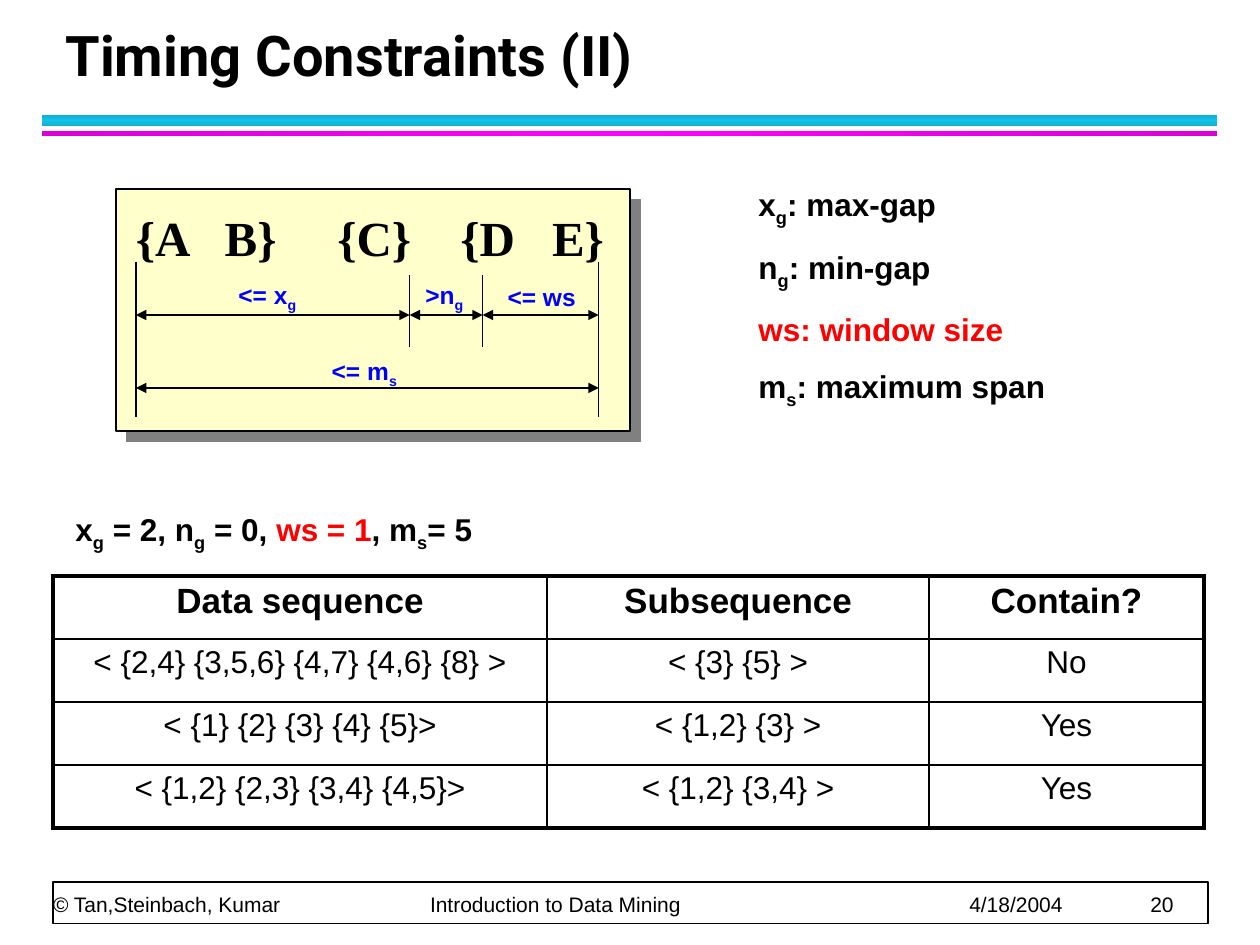
"""Build the slide on timing constraints for sequential patterns."""
from typing import NamedTuple

from pptx import Presentation
from pptx.dml.color import RGBColor as Rgb
from pptx.enum.shapes import MSO_CONNECTOR as Link, MSO_SHAPE as Form
from pptx.enum.text import MSO_ANCHOR as Anchor, PP_ALIGN as Align
from pptx.oxml import parse_xml
from pptx.oxml.ns import nsdecls
from pptx.util import Cm, Pt

HUES = {
    "black": "000000", "white": "FFFFFF", "red": "FF0000", "blue": "0000FF",
    "cream": "FFFFCC", "gray": "808080", "teal": "10B0D3", "cyan": "12C2E9",
    "plum": "DA00DA", "pink": "FF00FF",
}


class Box(NamedTuple):
    left: float
    top: float
    width: float
    height: float


class Bit(NamedTuple):
    text: str
    sub: bool = False
    hue: str | None = None


class Label(NamedTuple):
    box: Box
    bits: list[Bit]


class Bar(NamedTuple):
    box: Box
    edge: str
    core: str
    angle: int


class Line(NamedTuple):
    x1: float
    y1: float
    x2: float
    y2: float
    arrow: bool = False


def rgb(hue: str) -> Rgb:
    return Rgb.from_string(HUES[hue])


def node(xml: str):
    """Build an element of the drawing namespace."""
    cut = xml.index(">") - (xml[xml.index(">") - 1] == "/")
    return parse_xml(f"{xml[:cut]} {nsdecls('a')}{xml[cut:]}")


def solid(hue: str) -> str:
    return f'<a:solidFill><a:srgbClr val="{HUES[hue]}"/></a:solidFill>'


def sym(base: str, low: str, rest: str = "") -> list[Bit]:
    """Return a symbol with a subscript and the text after it."""
    tail = [Bit(rest)] if rest else []
    return [Bit(base), Bit(low, sub=True), *tail]


def write(frame, *paras, size=18, font="Arial", hue="black", bold=True,
          align=Align.LEFT, before=0, after=0, pitch=None, tabs=(),
          anchor=Anchor.TOP, pad=(0.25, 0.13)) -> None:
    """Fill a text frame with paragraphs given as strings or lists of bits."""
    frame.word_wrap = True
    frame.vertical_anchor = anchor
    frame.margin_left = frame.margin_right = Cm(pad[0])
    frame.margin_top = frame.margin_bottom = Cm(pad[1])
    for i, bits in enumerate(paras):
        para = frame.add_paragraph() if i else frame.paragraphs[0]
        if tabs:
            stops = "".join(f'<a:tab pos="{Cm(x)}" algn="l"/>' for x in tabs)
            para._p.get_or_add_pPr().append(node(f"<a:tabLst>{stops}</a:tabLst>"))
        para.alignment = align
        para.space_before = Pt(before if i else 0)
        para.space_after = Pt(after)
        if pitch:
            para.line_spacing = Pt(pitch)
        for bit in [Bit(bits)] if isinstance(bits, str) else bits:
            run = para.add_run()
            run.text = bit.text
            run.font.size, run.font.name, run.font.bold = Pt(size), font, bold
            run.font.color.rgb = rgb(bit.hue or hue)
            if bit.sub:
                run._r.get_or_add_rPr().set("baseline", "-25000")


def rect(slide, box: Box, fill: str | None = None, line: float = 0):
    """Add a plain rectangle, outlined in black if a line width is given."""
    shape = slide.shapes.add_shape(Form.RECTANGLE, *map(Cm, box))
    shape.shadow.inherit = False
    if fill:
        shape.fill.solid()
        shape.fill.fore_color.rgb = rgb(fill)
    if line:
        shape.line.color.rgb = rgb("black")
        shape.line.width = Pt(line)
    else:
        shape.line.fill.background()
    return shape


def text(slide, box: Box, *paras, **form) -> None:
    write(slide.shapes.add_textbox(*map(Cm, box)).text_frame, *paras, **form)


def shade(slide, bar: Bar) -> None:
    """Draw a bar whose colour runs from edge to core and back."""
    stops = "".join(
        f'<a:gs pos="{pos}"><a:srgbClr val="{HUES[hue]}"/></a:gs>'
        for pos, hue in ((0, bar.edge), (50000, bar.core), (100000, bar.edge)))
    rect(slide, bar.box)._element.spPr.insert(2, node(
        f"<a:gradFill><a:gsLst>{stops}</a:gsLst>"
        f'<a:lin ang="{bar.angle * 60000}" scaled="0"/></a:gradFill>'))


def rule(slide, line: Line) -> None:
    """Draw a thin line, with arrowheads at both ends if asked."""
    link = slide.shapes.add_connector(Link.STRAIGHT, *map(Cm, line[:4]))
    link.line.color.rgb = rgb("black")
    link.line.width = Pt(0.75)
    if line.arrow:
        for end in ("head", "tail"):
            link._element.spPr.ln.append(node(f'<a:{end}End type="triangle"/>'))
    link._element.spPr.append(node("<a:effectLst/>"))


def grid(slide, box: Box, cols: list[float], rows: list[list[str]]) -> None:
    """Draw a table with a heavy frame and thin inner borders."""
    high, wide = len(rows), len(cols)
    table = slide.shapes.add_table(high, wide, *map(Cm, box)).table
    table.first_row = table.horz_banding = False
    for col, width in zip(table.columns, cols):
        col.width = Cm(width)
    for r, row in enumerate(rows):
        table.rows[r].height = Cm(box.height / high)
        for c, words in enumerate(row):
            cell = table.cell(r, c)
            cell.fill.background()
            write(cell.text_frame, words, size=18 if r else 20, bold=not r,
                  align=Align.CENTER, after=4)
            outer = {"L": c == 0, "R": c == wide - 1, "T": r == 0, "B": r == high - 1}
            for i, (side, heavy) in enumerate(outer.items()):
                cell._tc.get_or_add_tcPr().insert(i, node(
                    f'<a:ln{side} w="{Pt(2.25 if heavy else 1)}">'
                    f"{solid('black')}</a:ln{side}>"))


BARS = [
    Bar(Box(0.84, 2.32, 23.7, 0.22), "teal", "cyan", 90),
    Bar(Box(0.84, 2.64, 23.7, 0.1), "plum", "pink", 0),
]
LABELS = [
    Label(Box(6.43, 7.04, 1.83, 0.84), sym("<= m", "s")),
    Label(Box(4.55, 5.51, 1.68, 0.84), sym("<= x", "g")),
    Label(Box(8.25, 5.51, 1.42, 0.84), sym(">n", "g")),
    Label(Box(9.98, 5.56, 1.88, 0.84), [Bit("<= ws")]),
]
MARKS = [2.74, 8.26, 9.73, 12.07]
LINES = [
    Line(MARKS[0], 7.82, MARKS[-1], 7.82, True),
    *(Line(a, 6.35, b, 6.35, True) for a, b in zip(MARKS, MARKS[1:])),
    *(Line(x, 5.28, x, 8.41) for x in (MARKS[0], MARKS[-1])),
    *(Line(x, 5.54, x, 6.99) for x in MARKS[1:-1]),
]
ROWS = [
    ["Data sequence", "Subsequence", "Contain?"],
    ["< {2,4} {3,5,6} {4,7} {4,6} {8} >", "< {3} {5} >", "No"],
    ["< {1} {2} {3} {4} {5}>", "< {1,2} {3} >", "Yes"],
    ["< {1,2} {2,3} {3,4} {4,5}>", "< {1,2} {3,4} >", "Yes"],
]


def main() -> None:
    deck = Presentation()
    deck.slide_width, deck.slide_height = Cm(25.4), Cm(19.05)
    slide = deck.slides.add_slide(deck.slide_layouts[6])
    for bar in BARS:
        shade(slide, bar)
    rect(slide, Box(1.07, 17.78, 23.29, 0.84), "white", 1)
    text(slide, Box(1.07, 17.78, 23.24, 0.71),
         "© Tan,Steinbach, Kumar\tIntroduction to Data Mining\t4/18/2004\t20",
         size=12, bold=False, pitch=20, tabs=(7.6, 18.47, 22.12),
         anchor=Anchor.BOTTOM, pad=(0, 0))
    text(slide, Box(1.07, 0.43, 23.01, 1.47), "Timing Constraints (II)",
         size=32, font="Roboto", pitch=36, anchor=Anchor.BOTTOM)
    panel = rect(slide, Box(2.34, 3.81, 10.36, 4.88), "cream", 0.75)
    panel._element.spPr.effectLst.append(node(
        f'<a:outerShdw dist="{Pt(8.5)}" dir="2700000" algn="ctr" rotWithShape="0">'
        f'<a:srgbClr val="{HUES["gray"]}"/></a:outerShdw>'))
    write(rect(slide, Box(2.54, 4.06, 10.01, 1.45), "cream").text_frame,
          "{A\tB}\t{C}\t{D\tE}", size=28, font="Times New Roman",
          tabs=(1.79, 4.06, 6.54, 8.39), pad=(0.2, 0.13))
    for label in LABELS:
        write(rect(slide, label.box, "cream").text_frame, label.bits,
              size=14, hue="blue", align=Align.CENTER, pad=(0, 0.13))
    for line in LINES:
        rule(slide, line)
    text(slide, Box(15.04, 3.61, 8.69, 4.67),
         sym("x", "g", ": max-gap"), sym("n", "g", ": min-gap"),
         [Bit("ws: window size", hue="red")], sym("m", "s", ": maximum span"),
         before=2, after=9)
    grid(slide, Box(1.07, 11.61, 23.2, 5.08), [9.96, 7.7, 5.54], ROWS)
    text(slide, Box(1.27, 10.16, 21.79, 1.02),
         [*sym("x", "g", " = 2, n"), Bit("g", sub=True), Bit(" = 0, "),
          Bit("ws = 1", hue="red"), *sym(", m", "s", "= 5")])
    deck.save("out.pptx")


if __name__ == "__main__":
    main()
